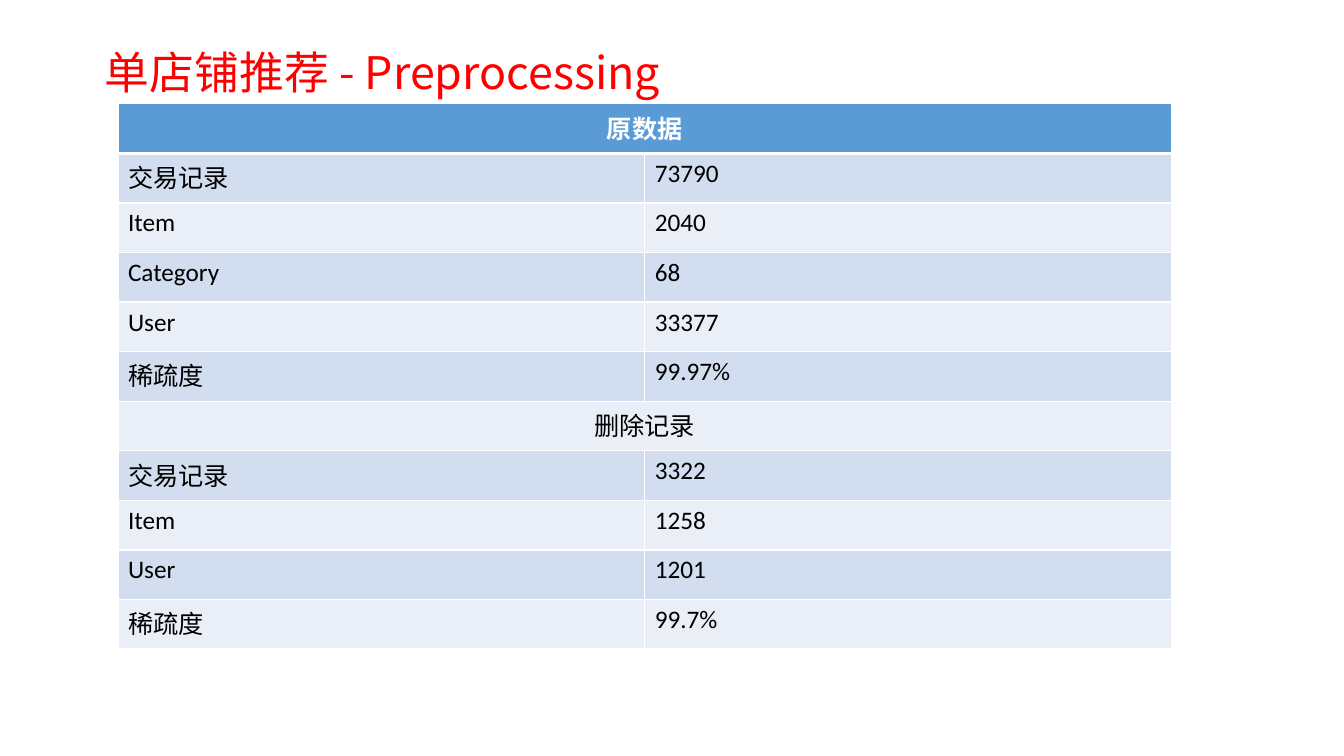
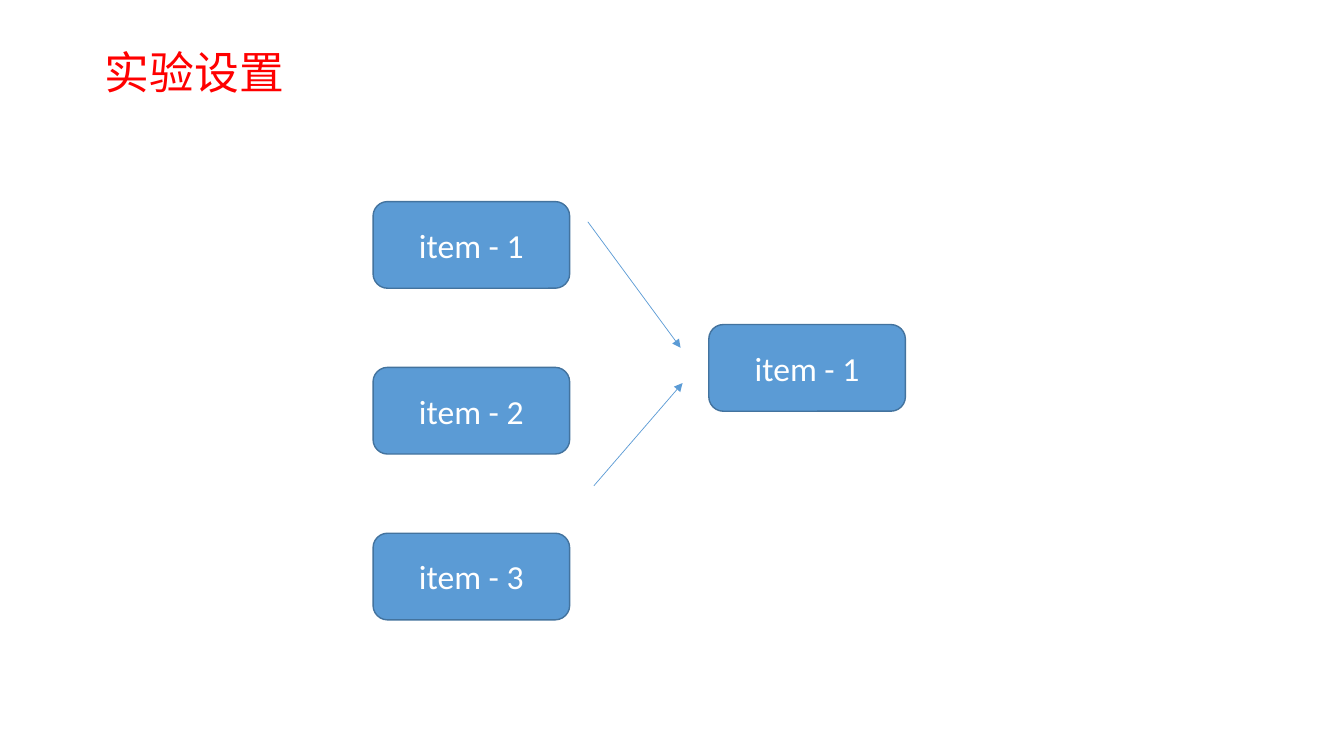
from lxml.etree import SubElement
from pptx import Presentation
from pptx.dml.color import RGBColor
from pptx.enum.shapes import MSO_CONNECTOR as Connector, MSO_SHAPE as Shape
from pptx.enum.text import MSO_ANCHOR as Anchor, MSO_AUTO_SIZE as AutoSize, PP_ALIGN as Align
from pptx.oxml import parse_xml
from pptx.oxml.ns import nsdecls, qn
from pptx.util import Inches, Pt

BLUE, DARK_BLUE = "5B9BD5", "43739E"
BANDS = ("EAEFF7", "D2DEEF")
RED, WHITE, BLACK = "FF0000", "FFFFFF", "000000"
BODY_FONT, TITLE_FONT = "Calibri", "Noto Sans CJK SC"

RECORDS = [
    ("原数据",),
    ("交易记录", "73790"),
    ("Item", "2040"),
    ("Category", "68"),
    ("User", "33377"),
    ("稀疏度", "99.97%"),
    ("删除记录",),
    ("交易记录", "3322"),
    ("Item", "1258"),
    ("User", "1201"),
    ("稀疏度", "99.7%"),
]


def color(value):
    """Turn a hex string into a colour."""
    return RGBColor.from_string(value)


def fill_solid(target, value):
    """Fill a shape or cell with one colour."""
    target.fill.solid()
    target.fill.fore_color.rgb = color(value)


def write(frame, text, size, ink, font=BODY_FONT, align=Align.LEFT, bold=False):
    """Put one styled paragraph into a text frame."""
    para = frame.paragraphs[0]
    para.text = text
    para.alignment = align
    para.font.size = Pt(size)
    para.font.bold = bold
    para.font.name = font
    para.font.color.rgb = color(ink)
    east_asian = SubElement(para.font._element, qn("a:ea"))
    east_asian.set("typeface", TITLE_FONT)


def add_page(deck, title):
    """Add a blank page with the shared red title."""
    page = deck.slides.add_slide(deck.slide_layouts[6])
    box = page.shapes.add_textbox(Inches(0.94), Inches(0.39), Inches(7.28), Inches(0.64))
    box.text_frame.word_wrap = True
    box.text_frame.auto_size = AutoSize.SHAPE_TO_FIT_TEXT
    write(box.text_frame, title, 32, RED, TITLE_FONT)
    return page


def set_borders(cell, top, bottom):
    """Draw white borders around a cell, with widths in points."""
    properties = cell._tc.get_or_add_tcPr()
    for index, (side, width) in enumerate(zip("LRTB", (1, 1, top, bottom))):
        properties.insert(index, parse_xml(
            f'<a:ln{side} {nsdecls("a")} w="{Pt(width)}"><a:solidFill>'
            f'<a:srgbClr val="{WHITE}"/></a:solidFill></a:ln{side}>'))


def add_record_table(page, records):
    """Add the banded table; a record of one text spans both columns."""
    frame = page.shapes.add_table(len(records), 2, Inches(1.17), Inches(1.03),
                                  Inches(10.45), Inches(5.41))
    table = frame.table
    for index, record in enumerate(records):
        header, heading = index == 0, len(record) == 1
        for cell in table.rows[index].cells:
            fill_solid(cell, BLUE if header else BANDS[index % 2])
            set_borders(cell, 3 if index == 1 else 1, 3 if header else 1)
        if heading:
            table.cell(index, 0).merge(table.cell(index, 1))
        for column, text in enumerate(record):
            write(table.cell(index, column).text_frame, text, 18,
                  WHITE if header else BLACK,
                  align=Align.CENTER if heading else Align.LEFT, bold=header)


def add_item(page, left, top, text):
    """Add a rounded blue item box."""
    box = page.shapes.add_shape(Shape.ROUNDED_RECTANGLE, Inches(left), Inches(top),
                                Inches(1.95), Inches(0.86))
    box.shadow.inherit = False
    fill_solid(box, BLUE)
    box.line.color.rgb = color(DARK_BLUE)
    box.line.width = Pt(1)
    box.text_frame.vertical_anchor = Anchor.MIDDLE
    write(box.text_frame, text, 24, WHITE, align=Align.CENTER)


def add_arrow(page, start, end):
    """Add a thin arrow between two points in inches."""
    arrow = page.shapes.add_connector(Connector.STRAIGHT, *map(Inches, start + end))
    arrow.line.color.rgb = color(BLUE)
    arrow.line.width = Pt(0.5)
    SubElement(arrow.line._get_or_add_ln(), qn("a:tailEnd")).set("type", "triangle")
    SubElement(arrow._element.spPr, qn("a:effectLst"))


def main():
    """Build and save the deck."""
    deck = Presentation()
    deck.slide_width, deck.slide_height = Inches(13.33), Inches(7.5)

    add_record_table(add_page(deck, "单店铺推荐 - Preprocessing"), RECORDS)

    page = add_page(deck, "实验设置")
    for index in range(3):
        add_item(page, 3.7, 2 + 1.645 * index, f"item - {index + 1}")
    add_item(page, 7.03, 3.22, "item - 1")
    add_arrow(page, (5.83, 2.2), (6.75, 3.45))
    add_arrow(page, (5.89, 4.82), (6.77, 3.8))

    deck.save("out.pptx")


main()
